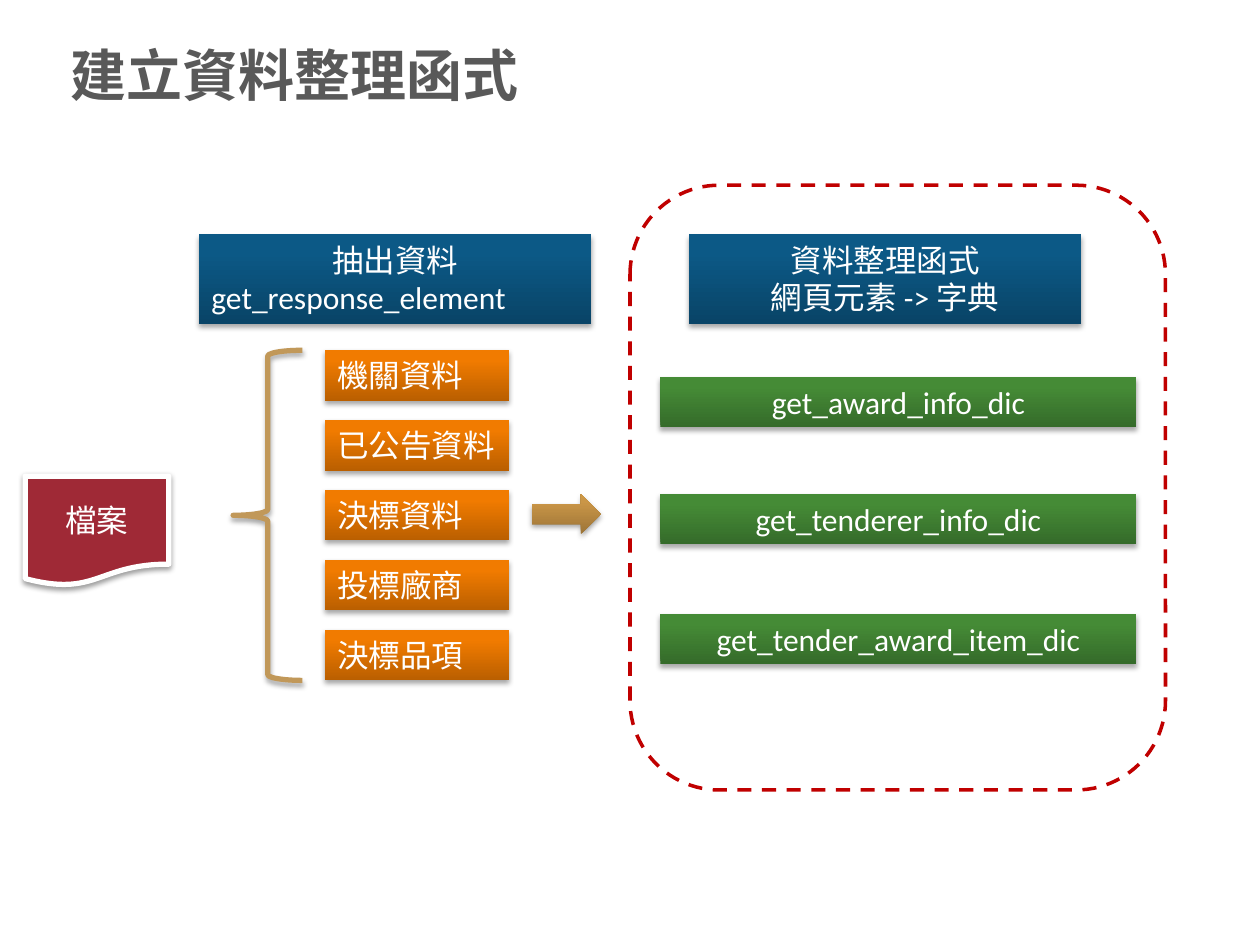
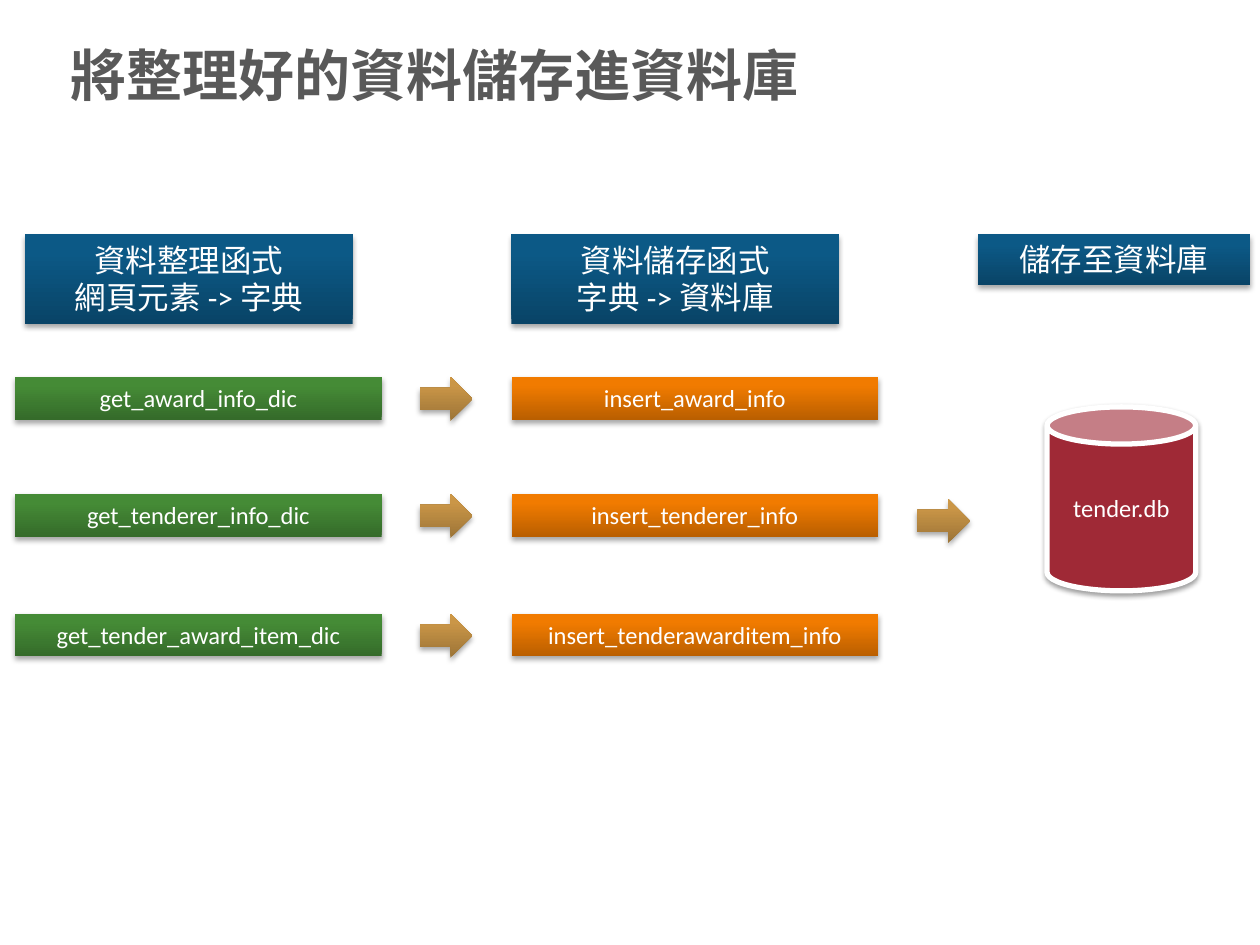
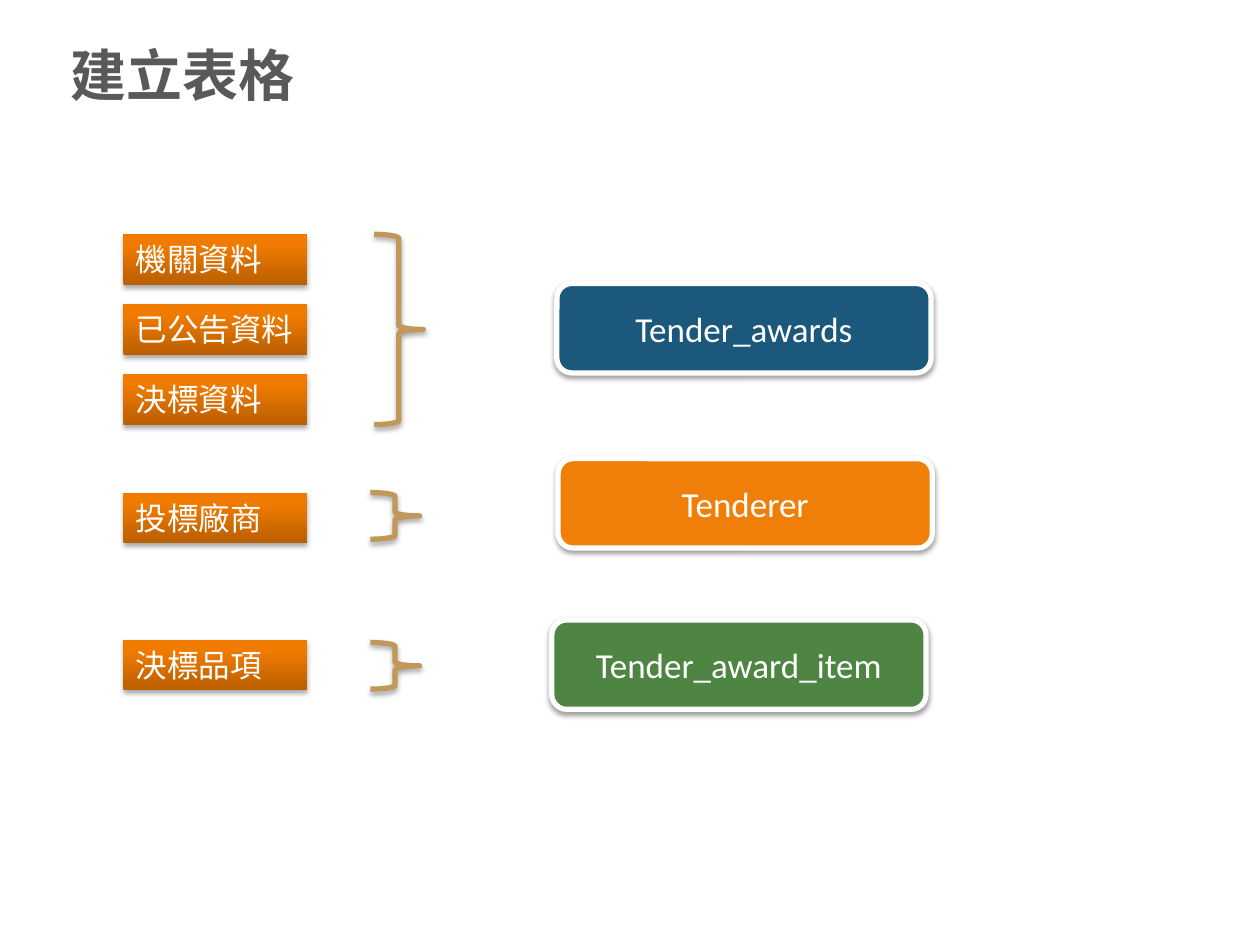
"""Build three slides on cleaning tender data and storing it in a database."""
from copy import deepcopy

from lxml import etree
from pptx import Presentation, util as u
from pptx.dml.color import RGBColor
from pptx.enum import dml, shapes, text
from pptx.oxml.ns import qn

KIND = shapes.MSO_SHAPE
MID, LEFT = text.PP_ALIGN.CENTER, text.PP_ALIGN.LEFT
TOP, HALF = text.MSO_ANCHOR.TOP, text.MSO_ANCHOR.MIDDLE

THEME = {
    "title": {"name": "Arial", "size": u.Pt(32), "bold": True},
    "grey": "595959",
    "white": "FFFFFF",
    "body": "Calibri",
    "big": 20,
    "text": 18,
    "small": 14,
    "stops": (0, 0.8, 1),
    "soft": {"alpha": 35, "blur": 3.1, "dist": 1.8},
    "firm": {"alpha": 38, "blur": 3.1, "dist": 1.6},
    "looks": {
        "orange": {"fill": ("BA5F00", "F17B00", "F27C00"), "shade": "soft"},
        "blue": {"fill": ("094467", "0C5986", "0A5A89"), "shade": "soft"},
        "green": {"fill": ("356B2A", "458B36", "458D35"), "shade": "soft"},
        "gold": {"fill": ("9C7437", "CA9647", "CE9845"), "shade": "soft"},
        "brace": {"line": ("C19859", 3), "shade": "soft"},
        "frame": {"line": ("C00000", 2), "dash": True},
        "red": {"fill": "9F2936", "line": ("FFFFFF", 3), "shade": "firm"},
        "navy": {"fill": "1B587C", "line": ("FFFFFF", 3), "shade": "firm"},
        "amber": {"fill": "F07F09", "line": ("FFFFFF", 3), "shade": "firm"},
        "leaf": {"fill": "4E8542", "line": ("FFFFFF", 3), "shade": "firm"},
    },
}


def draw(slide, kind, place, look, rows=(), size=THEME["text"], aligns=(MID, MID), wrap=True):
    """Add a shape in a theme look, with one paragraph for each row."""
    item = slide.shapes.add_shape(kind, *map(u.Inches, place))
    style = THEME["looks"][look]
    item.shadow.inherit = False
    if "shade" in style:
        shade = THEME[style["shade"]]
        node = etree.SubElement(item.element.spPr.find(qn("a:effectLst")), qn("a:outerShdw"), {
            "blurRad": str(u.Pt(shade["blur"])), "dist": str(u.Pt(shade["dist"])),
            "dir": "5400000", "rotWithShape": "0"})
        tint = etree.SubElement(node, qn("a:srgbClr"), val="000000")
        etree.SubElement(tint, qn("a:alpha"), val=str(shade["alpha"] * 1000))

    fill = style.get("fill")
    if fill is None:
        item.fill.background()
    elif isinstance(fill, str):
        item.fill.solid()
        item.fill.fore_color.rgb = RGBColor.from_string(fill)
    else:
        item.fill.gradient()
        item.fill.gradient_angle = 90
        stops = item.element.spPr.find(qn("a:gradFill")).find(qn("a:gsLst"))
        stops.append(deepcopy(stops[-1]))
        for stop, spot, color in zip(item.fill.gradient_stops, THEME["stops"], fill):
            stop.position = spot
            stop.color.rgb = RGBColor.from_string(color)

    if "line" in style:
        color, width = style["line"]
        item.line.color.rgb = RGBColor.from_string(color)
        item.line.width = u.Pt(width)
        if "dash" in style:
            item.line.dash_style = dml.MSO_LINE.DASH
    else:
        item.line.fill.background()

    if rows:
        frame = item.text_frame
        label = kind == KIND.RECTANGLE
        fit = text.MSO_AUTO_SIZE.SHAPE_TO_FIT_TEXT if label else text.MSO_AUTO_SIZE.NONE
        form = {"word_wrap": wrap, "auto_size": fit, "vertical_anchor": TOP if label else HALF}
        for key, val in form.items():
            setattr(frame, key, val)
        for pos, (row, align) in enumerate(zip(rows, aligns)):
            para = frame.paragraphs[0] if pos == 0 else frame.add_paragraph()
            para.alignment = align
            run = para.add_run()
            run.text = row
            for key, val in {"name": THEME["body"], "size": u.Pt(size)}.items():
                setattr(run.font, key, val)
            run.font.color.rgb = RGBColor.from_string(THEME["white"])


def start(deck, name):
    """Add a slide with its title."""
    slide = deck.slides.add_slide(deck.slide_layouts[5])
    title = slide.shapes.title
    for key, val in zip(("left", "top", "width", "height"), (0.46, 0.28, 9, 0.61)):
        setattr(title, key, u.Inches(val))
    title.text_frame.vertical_anchor = HALF
    para = title.text_frame.paragraphs[0]
    para.alignment = LEFT
    run = para.add_run()
    run.text = name
    for key, val in THEME["title"].items():
        setattr(run.font, key, val)
    run.font.color.rgb = RGBColor.from_string(THEME["grey"])
    return slide


deck = Presentation()
deck.slide_width, deck.slide_height = u.Inches(10), u.Inches(7.5)

parts = ["機關資料", "已公告資料", "決標資料", "投標廠商", "決標品項"]
tidy = ["get_award_info_dic", "get_tenderer_info_dic", "get_tender_award_item_dic"]
saves = ["insert_award_info", "insert_tenderer_info", "insert_tenderawarditem_info"]
lanes = [2.99, 3.92, 4.87]
head = 1.86
step = 0.555
clean = ["資料整理函式", "網頁元素 -> 字典"]

slide = start(deck, "建立資料整理函式")
draw(slide, KIND.FLOWCHART_DOCUMENT, (0.2, 3.78, 1.14, 0.87), "red", ["檔案"])
for pos, part in enumerate(parts):
    draw(slide, KIND.RECTANGLE, (2.58, 2.78 + pos * step, 1.46, 0.4), "orange", [part],
         aligns=[LEFT], wrap=len(part) < 5)
draw(slide, KIND.LEFT_BRACE, (1.85, 2.78, 0.55, 2.62), "brace")
draw(slide, KIND.RECTANGLE, (1.58, head, 3.11, 0.71), "blue",
     ["抽出資料", "get_response_element"], aligns=[MID, LEFT])
draw(slide, KIND.RIGHT_ARROW, (4.22, 3.92, 0.55, 0.32), "gold")
for lane, name in zip(lanes, tidy):
    draw(slide, KIND.RECTANGLE, (5.24, lane, 3.78, 0.4), "green", [name])
draw(slide, KIND.RECTANGLE, (5.47, head, 3.11, 0.71), "blue", clean)
draw(slide, KIND.ROUNDED_RECTANGLE, (5, 1.47, 4.25, 4.8), "frame")

slide = start(deck, "將整理好的資料儲存進資料庫")
for lane, name, save in zip(lanes, tidy, saves):
    draw(slide, KIND.RECTANGLE, (0.12, lane, 2.91, 0.34), "green", [name], THEME["small"])
    draw(slide, KIND.RIGHT_ARROW, (3.33, lane, 0.42, 0.35), "gold")
    draw(slide, KIND.RECTANGLE, (4.06, lane, 2.91, 0.34), "orange", [save], THEME["small"])
for left, width, height, rows in [
    (0.2, 2.6, 0.71, clean),
    (4.06, 2.6, 0.71, ["資料儲存函式", "字典 -> 資料庫"]),
    (7.76, 2.16, 0.4, ["儲存至資料庫"]),
]:
    draw(slide, KIND.RECTANGLE, (left, head, width, height), "blue", rows)
draw(slide, KIND.RIGHT_ARROW, (7.28, 3.96, 0.42, 0.35), "gold")
draw(slide, KIND.CAN, (8.31, 3.23, 1.18, 1.46), "red", ["tender.db"], THEME["small"])

slide = start(deck, "建立表格")
tops = [head, head + step, head + 2 * step, 3.91, 5.08]
for top, part in zip(tops, parts):
    draw(slide, KIND.RECTANGLE, (0.98, top, 1.46, 0.4), "orange", [part],
         aligns=[LEFT], wrap=len(part) < 5)
for left, top, height in [(2.97, head, 1.51), (2.94, 3.91, 0.37), (2.94, 5.1, 0.37)]:
    draw(slide, KIND.RIGHT_BRACE, (left, top, 0.39, height), "brace")
for left, top, look, name in [
    (4.42, 2.25, "navy", "Tender_awards"),
    (4.43, 3.64, "amber", "Tenderer"),
    (4.38, 4.92, "leaf", "Tender_award_item"),
]:
    draw(slide, KIND.ROUNDED_RECTANGLE, (left, top, 2.97, 0.71), look, [name], THEME["big"])

deck.save("out.pptx")
